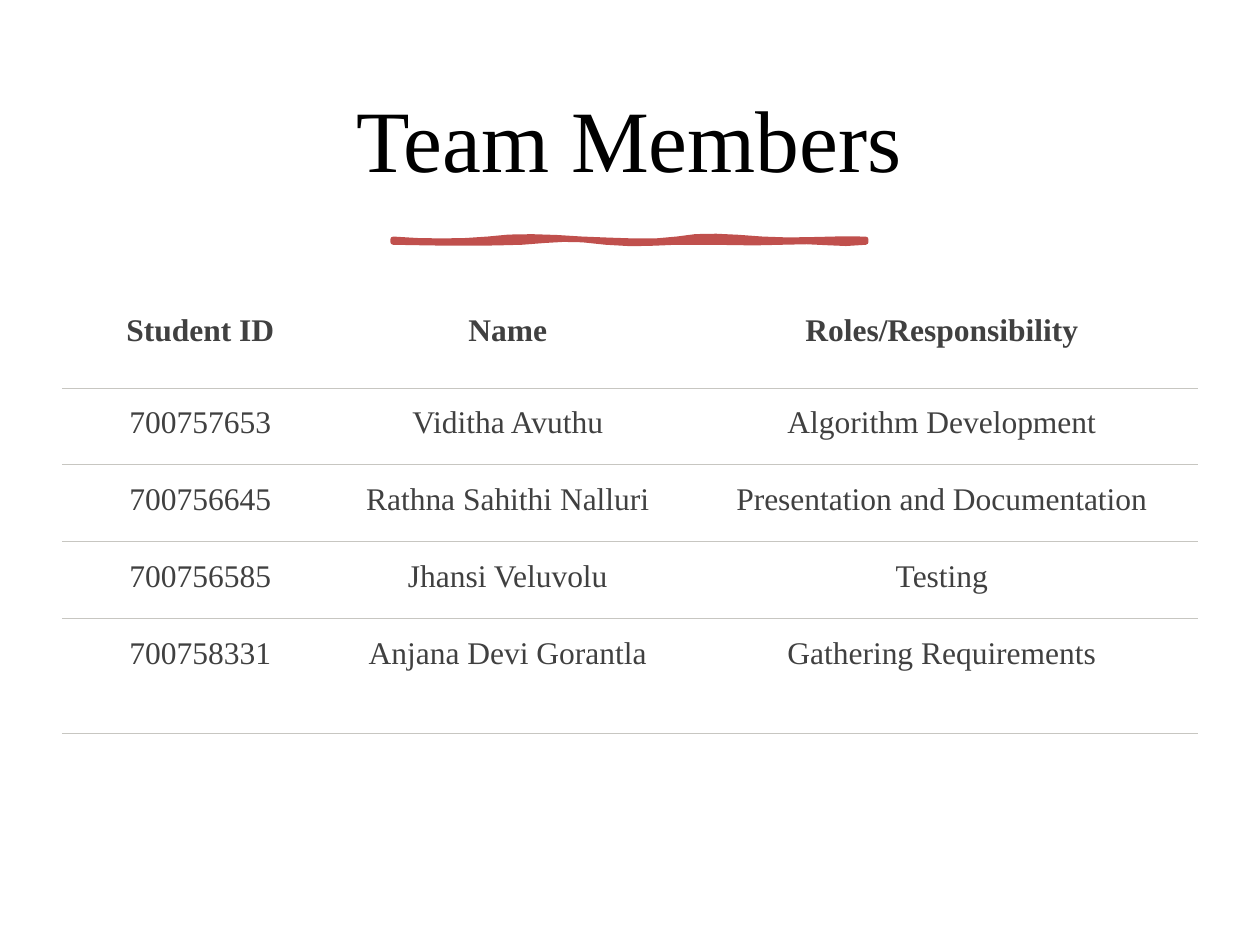
import pptx
import pptx.util
import pptx.dml.color
import pptx.enum.text
import pptx.oxml
import pptx.oxml.ns
from lxml import etree

Inches, Pt = pptx.util.Inches, pptx.util.Pt
COLORS = {"title": "000000", "body": "404040", "accent": "C0504D", "rule": "C7C6C1"}
FONT = "Times New Roman"

MEMBERS = [
    ("Student ID", "Name", "Roles/Responsibility"),
    ("700757653", "Viditha Avuthu", "Algorithm Development"),
    ("700756645", "Rathna Sahithi Nalluri", "Presentation and Documentation"),
    ("700756585", "Jhansi Veluvolu", "Testing"),
    ("700758331", "Anjana Devi Gorantla", "Gathering Requirements"),
]
COLUMN_WIDTHS = (2.13, 2.75, 4.14)
ROW_HEIGHTS = (0.73, 0.61, 0.61, 0.61, 0.91)
CELL_MARGINS = {"left": 0.28, "top": 0.14, "right": 0.21, "bottom": 0.14}

# Brush stroke outline: a start point, then cubic curves (two controls, one end)
STROKE_START = (3.12, 1.9)
STROKE_CURVES = [
    (3.36, 1.92, 3.66, 1.92, 3.87, 1.9), (4.08, 1.87, 4.35, 1.88, 4.62, 1.9),
    (4.9, 1.91, 5.18, 1.93, 5.37, 1.9), (5.57, 1.86, 5.78, 1.88, 6.05, 1.9),
    (6.31, 1.92, 6.63, 1.89, 6.87, 1.9), (6.87, 1.9, 6.87, 1.91, 6.87, 1.92),
    (6.65, 1.95, 6.5, 1.9, 6.2, 1.92), (5.9, 1.93, 5.84, 1.92, 5.56, 1.92),
    (5.28, 1.91, 5.1, 1.95, 4.81, 1.92), (4.52, 1.88, 4.42, 1.9, 4.14, 1.92),
    (3.86, 1.93, 3.57, 1.93, 3.12, 1.92),
]


def rgb(key):
    return pptx.dml.color.RGBColor.from_string(COLORS[key])


def format_text(frame, size, color, bold=False):
    paragraph = frame.paragraphs[0]
    paragraph.alignment = pptx.enum.text.PP_ALIGN.CENTER
    font = paragraph.runs[0].font
    font.name, font.size, font.bold = FONT, Pt(size), bold
    font.color.rgb = rgb(color)
    return paragraph


def add_title(slide, text):
    title = slide.shapes.title
    title.left, title.top = Inches(0.52), Inches(0.46)
    title.width, title.height = Inches(8.95), Inches(1.37)
    frame = title.text_frame
    frame.text = text
    frame.auto_size = pptx.enum.text.MSO_AUTO_SIZE.NONE
    frame.vertical_anchor = pptx.enum.text.MSO_ANCHOR.MIDDLE
    format_text(frame, 50, "title").line_spacing = 0.9


def curve_points(start, curves, steps=4):
    """Sample a chain of cubic curves."""
    points = []
    for x1, y1, x2, y2, x3, y3 in curves:
        for step in range(1, steps + 1):
            t = step / steps
            weights = ((1 - t) ** 3, 3 * t * (1 - t) ** 2, 3 * t * t * (1 - t), t ** 3)
            points.append(tuple(
                Inches(sum(w * v for w, v in zip(weights, values)))
                for values in ((start[0], x1, x2, x3), (start[1], y1, y2, y3))))
        start = (x3, y3)
    return points


def add_stroke(slide):
    start_x, start_y = map(Inches, STROKE_START)
    builder = slide.shapes.build_freeform(start_x, start_y)
    builder.add_line_segments(curve_points(STROKE_START, STROKE_CURVES), close=True)
    stroke = builder.convert_to_shape()
    stroke.shadow.inherit = False
    stroke.fill.solid()
    stroke.fill.fore_color.rgb = rgb("accent")
    stroke.line.color.rgb = rgb("accent")
    stroke.line.width = Pt(3.25)
    outline = stroke.element.spPr.find(pptx.oxml.ns.qn("a:ln"))
    etree.SubElement(outline, pptx.oxml.ns.qn("a:round"))


def set_borders(cell, ruled_sides):
    properties = cell._tc.get_or_add_tcPr()
    for side in "LRTB":
        paint = (f'<a:solidFill><a:srgbClr val="{COLORS["rule"]}"/></a:solidFill>'
                 if side in ruled_sides else "<a:noFill/>")
        properties.append(pptx.oxml.parse_xml(
            f'<a:ln{side} {pptx.oxml.ns.nsdecls("a")} w="{Pt(0.75)}">{paint}</a:ln{side}>'))


def add_member_table(slide):
    table = slide.shapes.add_table(
        len(MEMBERS), len(COLUMN_WIDTHS), Inches(0.49), Inches(2.35),
        Inches(sum(COLUMN_WIDTHS)), Inches(sum(ROW_HEIGHTS))).table
    table.first_row = table.horz_banding = False
    for column, width in zip(table.columns, COLUMN_WIDTHS):
        column.width = Inches(width)
    for row_index, (row, height, member) in enumerate(zip(table.rows, ROW_HEIGHTS, MEMBERS)):
        row.height = Inches(height)
        is_header = row_index == 0
        for cell, text in zip(row.cells, member):
            cell.text = text
            for side, margin in CELL_MARGINS.items():
                setattr(cell, f"margin_{side}", Inches(margin))
            format_text(cell.text_frame, 18, "body", bold=is_header)
            set_borders(cell, "B" if is_header else "TB")
            cell.fill.background()


def main():
    deck = pptx.Presentation()
    deck.slide_width, deck.slide_height = Inches(10), Inches(7.5)
    slide = deck.slides.add_slide(deck.slide_layouts[5])

    add_title(slide, "Team Members")
    # Brush stroke under the title
    add_stroke(slide)
    add_member_table(slide)

    deck.save("out.pptx")


if __name__ == "__main__":
    main()
